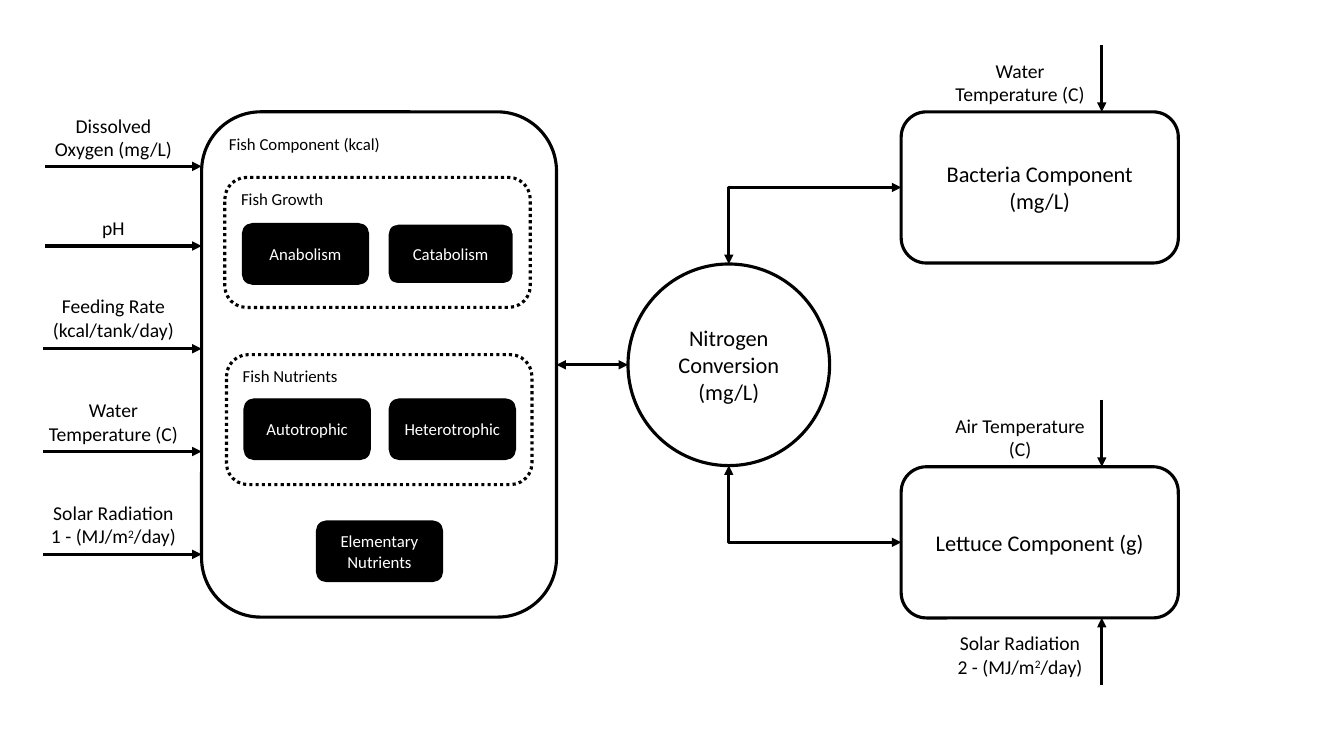
"""Build the aquaponics component diagram slide."""
from dataclasses import dataclass

from lxml import etree
from pptx import Presentation
from pptx.dml.color import RGBColor
from pptx.enum.dml import MSO_LINE
from pptx.enum.shapes import MSO_CONNECTOR, MSO_SHAPE
from pptx.enum.text import MSO_ANCHOR, PP_ALIGN
from pptx.oxml.ns import qn
from pptx.util import Pt

ROUNDED, CIRCLE = MSO_SHAPE.ROUNDED_RECTANGLE, MSO_SHAPE.OVAL
STRAIGHT, ELBOW = MSO_CONNECTOR.STRAIGHT, MSO_CONNECTOR.ELBOW
DOTTED = MSO_LINE.ROUND_DOT
TOP, MIDDLE = MSO_ANCHOR.TOP, MSO_ANCHOR.MIDDLE
LEFT, CENTER = PP_ALIGN.LEFT, PP_ALIGN.CENTER


@dataclass(frozen=True)
class Theme:
    """Colours, type sizes and line widths of the slide."""
    ink: RGBColor = RGBColor(0, 0, 0)
    paper: RGBColor = RGBColor(255, 255, 255)
    font: str = "Calibri"
    component_size: float = 16
    label_size: float = 14
    process_size: float = 12
    heavy: float = 2.25
    medium: float = 1.5
    thin: float = 1


@dataclass(frozen=True)
class Box:
    """A rectangle in points."""
    left: float
    top: float
    width: float
    height: float

    def inner(self, left, top, width, height):
        """Return a box placed relative to this one."""
        return Box(self.left + left, self.top + top, width, height)

    def lengths(self):
        """Return the four lengths for python-pptx."""
        return [Pt(value) for value in (self.left, self.top, self.width, self.height)]


THEME = Theme()


def apply(target, values):
    """Set every attribute in a dict of format values."""
    for name, value in values.items():
        setattr(target, name, value)


def write(shape, text, size, color, anchor=MIDDLE, align=CENTER):
    """Write one paragraph, raising the parts between carets."""
    apply(shape.text_frame, {"word_wrap": True, "vertical_anchor": anchor})
    para = shape.text_frame.paragraphs[0]
    para.alignment = align
    for index, part in enumerate(text.split("^")):
        span = para.add_run()
        span.text = part
        apply(span.font, {"name": THEME.font, "size": Pt(size)})
        span.font.color.rgb = color
        if index % 2:
            span.font._element.set("baseline", "30000")


def add_block(page, box, text, size=THEME.component_size, kind=ROUNDED, fill=THEME.paper,
              color=THEME.ink, outline=THEME.ink, width=THEME.heavy, dash=None, **layout):
    """Add a filled, outlined shape with text."""
    shape = page.shapes.add_shape(kind, *box.lengths())
    shape.shadow.inherit = False
    shape.fill.solid()
    shape.fill.fore_color.rgb = fill
    shape.line.color.rgb = outline
    apply(shape.line, {"width": Pt(width), "dash_style": dash})
    write(shape, text, size, color, **layout)


def add_label(page, box, text):
    """Add a centred input label."""
    shape = page.shapes.add_textbox(*box.lengths())
    write(shape, text, THEME.label_size, THEME.ink, anchor=TOP)


def add_arrow(page, start, end, both=False, bent=False):
    """Add an arrow, optionally double-headed or with one corner."""
    points = [Pt(value) for value in (*start, *end)]
    arrow = page.shapes.add_connector(ELBOW if bent else STRAIGHT, *points)
    arrow.line.color.rgb = THEME.ink
    arrow.line.width = Pt(THEME.heavy)
    properties = arrow._element.spPr
    if bent:
        properties.find(qn("a:prstGeom")).set("prst", "bentConnector2")
    for tag in ("a:headEnd", "a:tailEnd") if both else ("a:tailEnd",):
        etree.SubElement(properties.find(qn("a:ln")), qn(tag), type="triangle")
    etree.SubElement(properties, qn("a:effectLst"))


def add_process(page, box, text, **outline):
    """Add a black process block."""
    style = {"outline": THEME.ink, "width": THEME.thin, **outline}
    add_block(page, box, text, THEME.process_size, fill=THEME.ink, color=THEME.paper, **style)


def add_fish(page, box):
    """Add the fish component with its groups and processes."""
    titled = {"size": THEME.process_size, "anchor": TOP, "align": LEFT}
    white_edge = {"outline": THEME.paper, "width": THEME.medium}
    groups = (
        (16.6, 46.8, 33.1, "Fish Growth", (("Anabolism", {}), ("Catabolism", white_edge))),
        (17.8, 173.4, 31.7, "Fish Nutrients", (("Autotrophic", {}), ("Heterotrophic", {}))),
    )
    add_block(page, box, "Fish Component (kcal)", **titled)
    for left, top, process_top, title, processes in groups:
        group = box.inner(left, top, 218.2, 92.9)
        add_block(page, group, title, dash=DOTTED, **titled)
        for column, (name, outline) in enumerate(processes):
            place = group.inner(12.6 + 103.7 * column, process_top, 90, 43.2)
            add_process(page, place, name, **outline)
    add_process(page, box.inner(82.1, 292.3, 90, 43.2), "Elementary Nutrients")


def add_fish_inputs(page, box):
    """Add the labelled arrows that end at the right edge of the box."""
    inputs = (
        (38.9, 1.4, 41, "Dissolved Oxygen (mg/L)"),
        (95.8, 1.4, 25.2, "pH"),
        (169.2, 0, 42.4, "Feeding Rate (kcal/tank/day)"),
        (242.6, 0, 41.8, "Water Temperature (C)"),
        (316.1, 0, 41.8, "Solar Radiation 1 - (MJ/m^2^/day)"),
    )
    for drop, indent, rise, text in inputs:
        level = box.top + drop
        add_arrow(page, (box.left + indent, level), (box.left + box.width, level))
        add_label(page, box.inner(-4.7, drop - rise, 109.4, 41), text)


def add_component(page, box, text, above, below=None):
    """Add a component with an input above and perhaps one below."""
    add_block(page, box, text)
    inlet, bottom = box.left + 143.3, box.top + box.height
    add_arrow(page, (inlet, box.top - 48), (inlet, box.top))
    add_label(page, box.inner(30.2, -41.4, 109.4, 41), above)
    if below:
        add_arrow(page, (inlet, bottom + 48), (inlet, bottom))
        add_label(page, box.inner(30.2, box.height + 5.7, 109.4, 41), below)


def add_exchange(page, box, fish, bacteria, lettuce):
    """Add the nitrogen circle and its links to the components."""
    add_block(page, box, "Nitrogen Conversion (mg/L)", kind=CIRCLE)
    center, level = box.left + box.width / 2, box.top + box.height / 2
    add_arrow(page, (box.left, level), (fish.left + fish.width, level), both=True)
    for component, edge in ((bacteria, box.top), (lettuce, box.top + box.height)):
        start = (component.left, component.top + component.height / 2)
        add_arrow(page, start, (center, edge), both=True, bent=True)


def main():
    """Build and save the deck."""
    deck = Presentation()
    apply(deck, {"slide_width": Pt(960), "slide_height": Pt(540)})
    page = deck.slides.add_slide(deck.slide_layouts[6])
    fish = Box(144, 79.9, 253.5, 360.9)
    bacteria = Box(643.7, 79.9, 198, 108)
    lettuce = Box(643.7, 333.4, 198, 108)
    add_fish(page, fish)
    add_fish_inputs(page, Box(31, fish.top, 113, fish.height))
    add_component(page, bacteria, "Bacteria Component (mg/L)", "Water Temperature (C)")
    add_component(page, lettuce, "Lettuce Component (g)", "Air Temperature (C)",
                  "Solar Radiation 2 - (MJ/m^2^/day)")
    add_exchange(page, Box(448.6, 188.6, 144, 144), fish, bacteria, lettuce)
    deck.save("out.pptx")


main()
